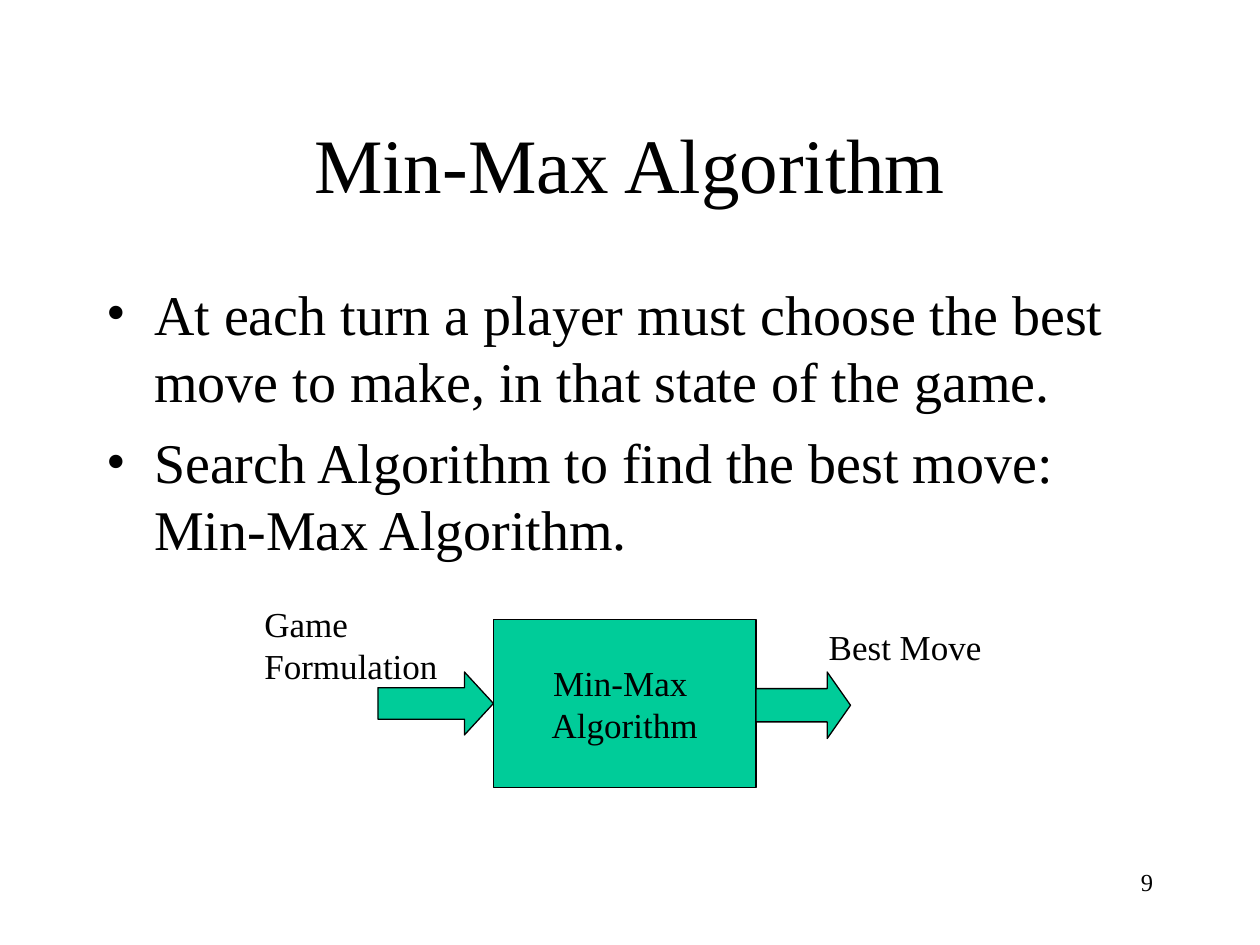
from dataclasses import dataclass

from lxml import etree
from pptx import Presentation
from pptx.dml.color import RGBColor
from pptx.enum.shapes import MSO_SHAPE
from pptx.enum.text import MSO_ANCHOR, MSO_AUTO_SIZE, PP_ALIGN
from pptx.oxml.ns import qn
from pptx.util import Pt

RECT, ARROW = MSO_SHAPE.RECTANGLE, MSO_SHAPE.RIGHT_ARROW
LEFT, CENTER, RIGHT = PP_ALIGN.LEFT, PP_ALIGN.CENTER, PP_ALIGN.RIGHT
TOP, MIDDLE = MSO_ANCHOR.TOP, MSO_ANCHOR.MIDDLE
GROW = MSO_AUTO_SIZE.SHAPE_TO_FIT_TEXT


@dataclass(frozen=True)
class Theme:
    font: str = "Times New Roman"
    ink: RGBColor = RGBColor(0, 0, 0)
    accent: RGBColor = RGBColor(0x00, 0xCC, 0x99)
    title: int = 44
    body: int = 32
    label: int = 20
    number: int = 14
    line: float = 0.75
    indent: int = 27
    space: int = 8


THEME = Theme()


def write(sp, lines, size, align=LEFT, anchor=TOP, wrap=True):
    """Fill a shape with one paragraph per line and return its paragraphs."""
    tf = sp.text_frame
    tf.word_wrap, tf.vertical_anchor = wrap, anchor
    tf.text = "\n".join(lines)
    font = {"name": THEME.font, "size": Pt(size)}
    for p in tf.paragraphs:
        p.alignment = align
        for r in p.runs:
            for key, value in font.items():
                setattr(r.font, key, value)
            r.font.color.rgb = THEME.ink
    return tf.paragraphs


def add_text(s, box, lines, size, **layout):
    sp = s.shapes.add_textbox(*map(Pt, box))
    write(sp, lines, size, **layout)
    return sp


def add_block(s, kind, box):
    sp = s.shapes.add_shape(kind, *map(Pt, box))
    sp.shadow.inherit = False
    sp.fill.solid()
    sp.fill.fore_color.rgb = THEME.accent
    sp.line.color.rgb = THEME.ink
    sp.line.width = Pt(THEME.line)
    return sp


def add_bullets(s, box, lines):
    body = add_text(s, box, lines, THEME.body)
    for p in body.text_frame.paragraphs:
        p.space_before = Pt(THEME.space)
        pPr = p._p.get_or_add_pPr()
        pPr.set("marL", str(Pt(THEME.indent)))
        pPr.set("indent", str(-Pt(THEME.indent)))
        etree.SubElement(pPr, qn("a:buFont")).set("typeface", THEME.font)
        etree.SubElement(pPr, qn("a:buChar")).set("char", "•")


def add_flow(s, box):
    """Input label and arrow, process block, output arrow and label."""
    x, y, w, h = box
    block_w, block_h = 150, 96
    block_x, block_y = x + 138, y + h - block_h
    block_right = block_x + block_w
    arrow_y = block_y + 30

    # Process block
    block = add_block(s, RECT, (block_x, block_y, block_w, block_h))
    write(block, ["Min-Max ", "Algorithm"], THEME.label,
          align=CENTER, anchor=MIDDLE, wrap=False)

    # Arrows touching the block's sides
    arrows = [(block_x - 66, 66, 36, 0.46), (block_right, 54, 38, 0.35)]
    for left, width, height, head in arrows:
        arrow = add_block(s, ARROW, (left, arrow_y, width, height))
        arrow.adjustments[1] = head

    # Labels at the outer ends, sized to their unwrapped text
    out_w = 102
    labels = [((x, y, 114, 55.5), ["Game", "Formulation"]),
              ((x + w - out_w, block_y, out_w, 31.5), ["Best Move"])]
    for label_box, lines in labels:
        label = add_text(s, label_box, lines, THEME.label, wrap=False)
        label.text_frame.auto_size = GROW


def main():
    prs = Presentation()
    prs.slide_width, prs.slide_height = Pt(720), Pt(540)
    s = prs.slides.add_slide(prs.slide_layouts[6])

    # Slide number
    add_text(s, (516, 492, 150, 36), ["9"], THEME.number, align=RIGHT)

    # Title
    add_text(s, (54, 48, 612, 90), ["Min-Max Algorithm"], THEME.title,
             align=CENTER, anchor=MIDDLE)

    # Body
    add_bullets(s, (54, 156, 612, 324), [
        "At each turn a player must choose the best move to make, "
        "in that state of the game.",
        "Search Algorithm to find the best move: Min-Max Algorithm.",
    ])

    # Flow diagram
    add_flow(s, (144, 340.5, 424.5, 109.5))

    prs.save("out.pptx")


if __name__ == "__main__":
    main()
